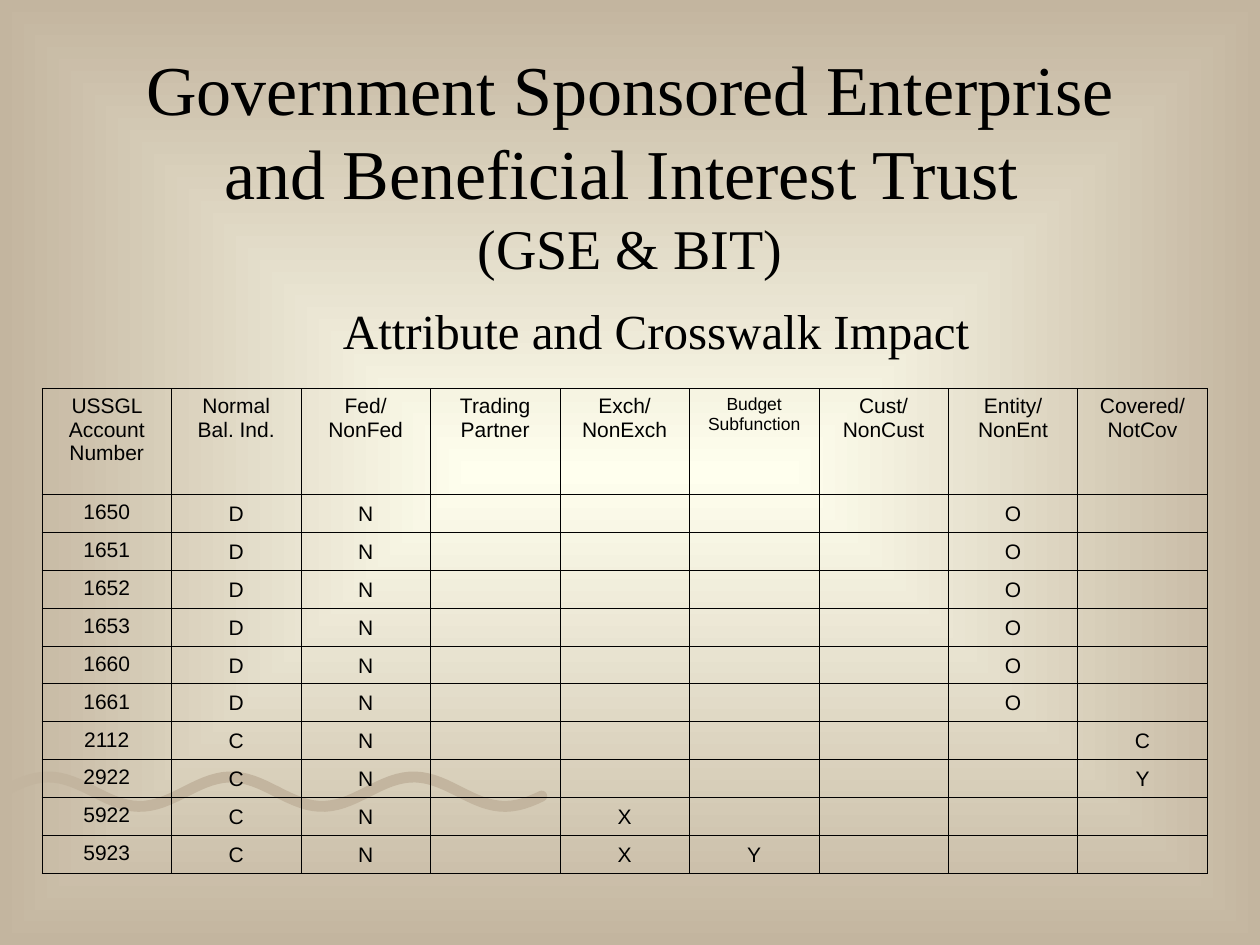
import math

from lxml import etree
from pptx import Presentation
from pptx.dml.color import RGBColor
from pptx.enum.text import MSO_ANCHOR, PP_ALIGN
from pptx.oxml.ns import qn
from pptx.util import Inches, Pt

TOP, MIDDLE, BOTTOM = MSO_ANCHOR.TOP, MSO_ANCHOR.MIDDLE, MSO_ANCHOR.BOTTOM
CENTER = PP_ALIGN.CENTER
COLUMNS, ROWS = 120, 90
HEADINGS = ["USSGL Account Number", "Normal Bal. Ind.", "Fed/ NonFed",
            "Trading Partner", "Exch/ NonExch", "Budget Subfunction",
            "Cust/NonCust", "Entity/ NonEnt", "Covered/ NotCov"]
EXCHANGE, BUDGET, ENTITY, COVERED = 4, 5, 7, 8
ACCOUNTS = [
    *((number, "D", {ENTITY: "O"})
      for number in ("1650", "1651", "1652", "1653", "1660", "1661")),
    ("2112", "C", {COVERED: "C"}),
    ("2922", "C", {COVERED: "Y"}),
    ("5922", "C", {EXCHANGE: "X"}),
    ("5923", "C", {EXCHANGE: "X", BUDGET: "Y"}),
]


def color(value):
    return RGBColor.from_string(value)


def write(paragraph, text, size=12, font="Arial", ink="000000"):
    paragraph.alignment = CENTER
    if not text:
        etree.SubElement(paragraph._p, qn("a:endParaRPr"), sz=str(size * 100))
        return
    run = paragraph.add_run()
    run.text = text
    run.font.size = Pt(size)
    run.font.name = font
    run.font.color.rgb = color(ink)


class AttributeSlide:
    """Holds the style and the slide, and draws each kind of element on a grid."""

    serif = "Times New Roman"
    glow, sand, ink = "FFFFEE", "C3B59F", "000000"
    rule_width = 0.45

    def __init__(self, deck):
        self.slide = deck.slides.add_slide(deck.slide_layouts[6])
        self.column = deck.slide_width / COLUMNS
        self.row = deck.slide_height / ROWS

    def area(self, left, top, width, height):
        return (round(left * self.column), round(top * self.row),
                round(width * self.column), round(height * self.row))

    def background(self):
        fill = self.slide.background.fill
        fill.gradient()
        for stop, shade, position in zip(fill.gradient_stops, (self.glow, self.sand), (0, 1)):
            stop.color.rgb = color(shade)
            stop.position = position
        gradient = self.slide._element.find(".//" + qn("a:gradFill"))
        gradient.remove(gradient.find(qn("a:lin")))
        focus = etree.SubElement(gradient, qn("a:path"), path="rect")
        sides = dict.fromkeys("ltrb", "50000")
        etree.SubElement(focus, qn("a:fillToRect"), **sides)

    def wave(self, end, middle, height, period, crest, half_width, steps=90):
        upper, lower = [], []
        for step in range(steps + 1):
            x = end * step / steps
            phase = 2 * math.pi * (x - crest) / period
            y = middle - height * math.cos(phase)
            angle = math.atan(height * 2 * math.pi / period * math.sin(phase))
            across, down = half_width * math.sin(angle), half_width * math.cos(angle)
            upper.append((x + across, y - down))
            lower.append((x - across, y + down))
        turns = [angle + math.pi * (part / 8 - 0.5) for part in range(1, 8)]
        cap = [(x + half_width * math.cos(turn), y + half_width * math.sin(turn))
               for turn in turns]
        outline = [(max(x, 0) * self.column, y * self.row)
                   for x, y in upper + cap + lower[::-1]]
        builder = self.slide.shapes.build_freeform(*outline[0])
        builder.add_line_segments(outline[1:], close=True)
        ribbon = builder.convert_to_shape()
        ribbon.shadow.inherit = False
        ribbon.fill.solid()
        ribbon.fill.fore_color.rgb = color(self.sand)
        ribbon.line.fill.background()

    def heading(self, area, parts, anchor=TOP):
        frame = self.slide.shapes.add_textbox(*self.area(*area)).text_frame
        frame.word_wrap = True
        frame.vertical_anchor = anchor
        paragraph = frame.paragraphs[0]
        for index, (text, size) in enumerate(parts):
            if index:
                paragraph.add_line_break()
            write(paragraph, text, size=size, font=self.serif, ink=self.ink)

    def border(self, cell):
        properties = cell._tc.get_or_add_tcPr()
        for index, side in enumerate(("lnL", "lnR", "lnT", "lnB")):
            line = etree.Element(qn("a:" + side), w=str(Pt(self.rule_width)))
            solid = etree.SubElement(line, qn("a:solidFill"))
            etree.SubElement(solid, qn("a:srgbClr"), val=self.ink)
            properties.insert(index, line)

    def table(self, area, records, header_height, record_height):
        table = self.slide.shapes.add_table(
            len(records), len(records[0]), *self.area(*area)).table
        table.first_row = table.horz_banding = False
        for number, record in enumerate(records):
            height = record_height if number else header_height
            table.rows[number].height = round(height * self.row)
            for position, text in enumerate(record):
                cell = table.cell(number, position)
                cell.fill.background()
                self.border(cell)
                cell.vertical_anchor = BOTTOM if number and position else TOP
                small = not number and position == BUDGET
                write(cell.text_frame.paragraphs[0], text,
                      size=10 if small else 12, ink=self.ink)


def main():
    deck = Presentation()
    deck.slide_width, deck.slide_height = Inches(10), Inches(7.5)
    page = AttributeSlide(deck)
    page.background()
    page.wave(end=51.6, middle=75.4, height=1.4, period=17.4, crest=4.6, half_width=0.52)
    page.heading((9, 8, 102, 15), [
        ("Government Sponsored Enterprise and Beneficial Interest Trust ", 40),
        ("(GSE & BIT)", 32)], anchor=MIDDLE)
    page.heading((8, 28, 109, 10), [("Attribute and Crosswalk Impact", 28)])
    records = [HEADINGS]
    for number, balance, marks in ACCOUNTS:
        values = {0: number, 1: balance, 2: "N", **marks}
        records.append([values.get(place, "") for place in range(len(HEADINGS))])
    page.table((4, 37, 111, 46), records, header_height=10.1, record_height=3.59)
    deck.save("out.pptx")


if __name__ == "__main__":
    main()
